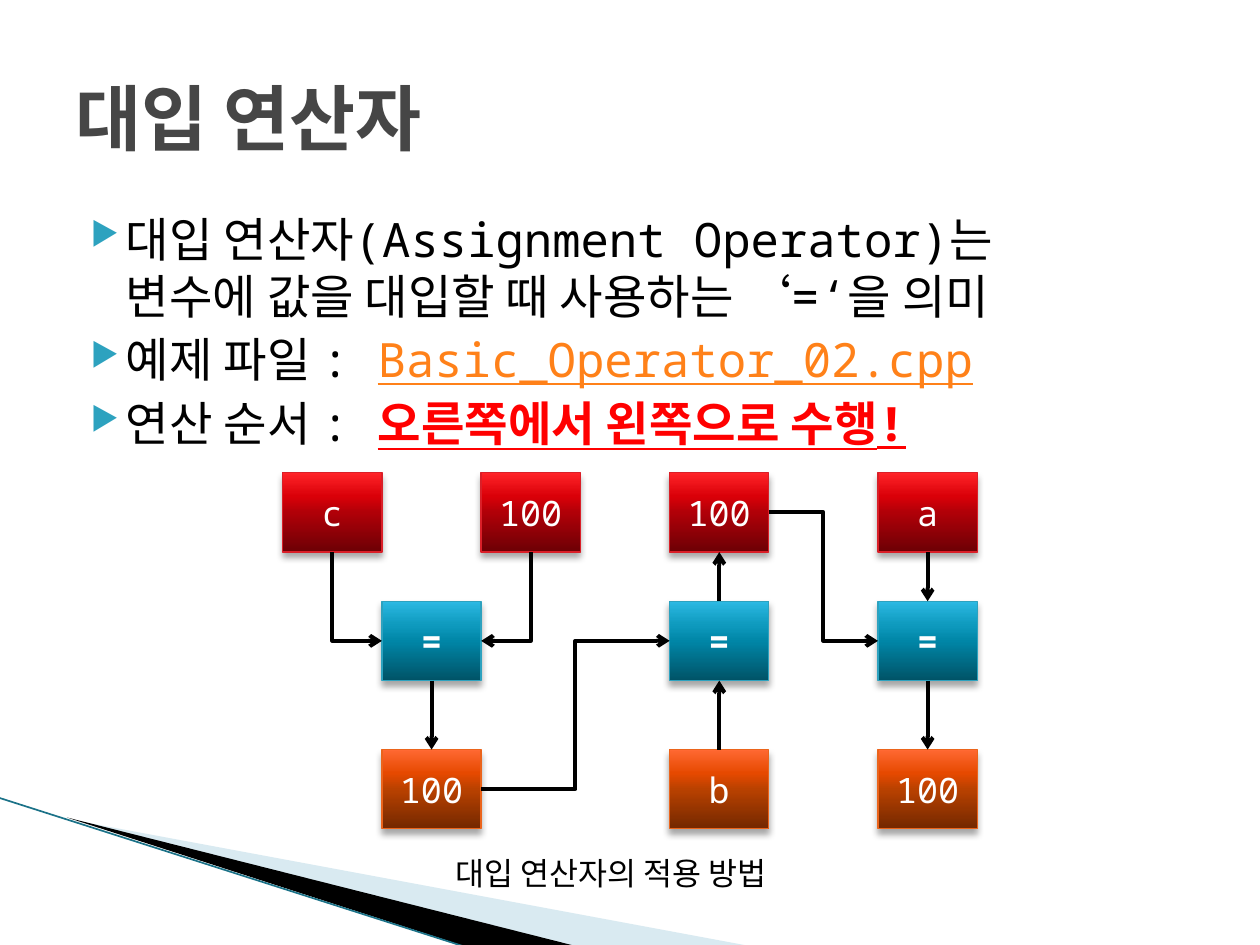
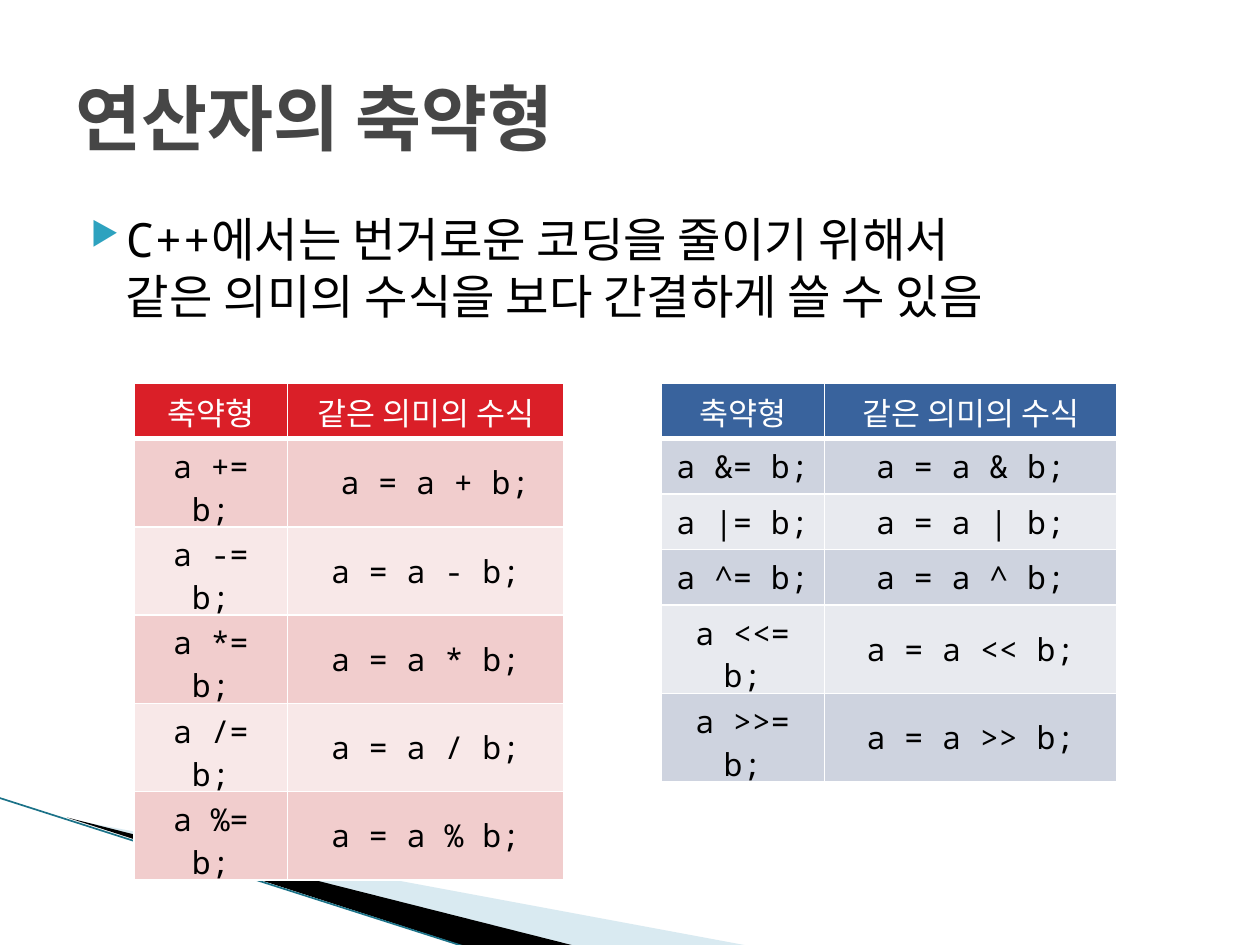
import pptx
import pptx.dml.color
import pptx.enum.shapes
import pptx.enum.text
import pptx.oxml.ns
import pptx.util
from lxml import etree

Cm, Pt = pptx.util.Cm, pptx.util.Pt
MIDDLE = pptx.enum.text.MSO_ANCHOR.MIDDLE
CENTER = pptx.enum.text.PP_ALIGN.CENTER
KINDS = pptx.enum.shapes.MSO_CONNECTOR

FONT = "Noto Sans Mono"
BLACK, WHITE, GRAY, TEAL = "000000", "FFFFFF", "464646", "2DA2BF"
LINK = {"color": "FF8119", "underline": True}
ALERT = {"color": "FF0000", "underline": True, "bold": True}

# Corner bands, in cm: points, colour, opacity in percent
BANDS = [
    ([(1.4, 16.52), (15.11, 19.07), (11.58, 19.07)], "A0CBDC", 40),
    ([(1.35, 16.48), (11.6, 19.07), (9.45, 19.1)], BLACK, 100),
]
EDGE = (-0.03, 16.08, 9.42, 19.1)

ASSIGN = {
    "title": "대입 연산자",
    "body": [
        [("대입 연산자(Assignment Operator)는\n변수에 값을 대입할 때 사용하는 ‘=‘을 의미", {})],
        [("예제 파일 : ", {}), ("Basic_Operator_02.cpp", LINK)],
        [("연산 순서 : ", {}), ("오른쪽에서 왼쪽으로 수행!", ALERT)],
    ],
}
SHORT = {
    "title": "연산자의 축약형",
    "body": [[("C++에서는 번거로운 코딩을 줄이기 위해서\n같은 의미의 수식을 보다 간결하게 쓸 수 있음", {})]],
}
CAPTION = "대입 연산자의 적용 방법"

# Each row of boxes: top in cm, line colour, gradient from bottom to top
STOPS = (0, 50, 70, 100)
ROWS = {
    "value": (9.53, "DA1F28", ("6D0005", "B00008", "DA0008", "FF2429")),
    "sign": (12.12, TEAL, ("005367", "0086A7", "0E9ABE", "2CB9E3")),
    "result": (15.11, "EB641B", ("732800", "B94100", "E64900", "FF6933")),
}
WIDE, HIGH = 2, 1.6
BOXES = {  # name: row, left in cm, text
    "c": ("value", 5.7, "c"),
    "first": ("value", 9.7, "100"),
    "sign1": ("sign", 7.7, "="),
    "sum1": ("result", 7.7, "100"),
    "b": ("result", 13.5, "b"),
    "sign2": ("sign", 13.5, "="),
    "sum2": ("value", 13.5, "100"),
    "a": ("value", 17.7, "a"),
    "sign3": ("sign", 17.7, "="),
    "sum3": ("result", 17.7, "100"),
}
TOP, LEFT, BOTTOM, RIGHT = range(4)
ARROWS = [
    ("c", BOTTOM, "sign1", LEFT),
    ("first", BOTTOM, "sign1", RIGHT),
    ("sign1", BOTTOM, "sum1", TOP),
    ("b", TOP, "sign2", BOTTOM),
    ("sum1", RIGHT, "sign2", LEFT),
    ("sign2", TOP, "sum2", BOTTOM),
    ("sum2", RIGHT, "sign3", LEFT),
    ("a", BOTTOM, "sign3", TOP),
    ("sign3", BOTTOM, "sum3", TOP),
]

HEAD = ("축약형", "같은 의미의 수식")
TABLES = [  # left and column widths in cm, head and band colours, rows
    (2.7, (3.1, 5.56), "DA1F28", ("F1CDCD", "F8E8E8"), [
        ("a += b;", " a = a + b;"), ("a -= b;", "a = a - b;"),
        ("a *= b;", "a = a * b;"), ("a /= b;", "a = a / b;"),
        ("a %= b;", "a = a % b;")]),
    (13.32, (3.3, 5.89), "39639D", ("CED3DF", "E8EAEF"), [
        ("a &= b;", "a = a & b;"), ("a |= b;", "a = a | b;"),
        ("a ^= b;", "a = a ^ b;"), ("a <<= b;", "a = a << b;"),
        ("a >>= b;", "a = a >> b;")]),
]
TABLE_TOP, ROW_HIGH = 7.72, 1.12


def rgb(code):
    return pptx.dml.color.RGBColor.from_string(code)


def add(parent, tag, **attrs):
    """Append a drawing element with the given attributes."""
    node = etree.SubElement(parent, pptx.oxml.ns.qn("a:" + tag))
    for key, value in attrs.items():
        node.set(key, str(value))
    return node


def style(font, size=None, color=None, bold=None, underline=None):
    if size:
        font.name, font.size = FONT, Pt(size)
    if color:
        font.color.rgb = rgb(color)
    font.bold, font.underline = bold, underline


def write(slide, place, text, size, color, bold=None, wrap=True):
    box = slide.shapes.add_textbox(*map(Cm, place))
    frame = box.text_frame
    frame.word_wrap = wrap
    frame.text = text
    style(frame.paragraphs[0].font, size, color, bold)
    return frame


def bullet(para):
    props = para._p.get_or_add_pPr()
    props.set("marL", str(Cm(1.02)))
    props.set("indent", str(Cm(-0.71)))
    add(add(props, "buClr"), "srgbClr", val=TEAL)
    add(props, "buSzPct", val=68000)
    add(props, "buChar", char="▶")
    para.space_before = Pt(4)


def list_body(slide, items):
    frame = write(slide, (1.27, 4.11, 22.86, 12.57), "", 27, BLACK)
    for i, item in enumerate(items):
        para = frame.add_paragraph() if i else frame.paragraphs[0]
        bullet(para)
        style(para.font, 27, BLACK)
        for text, look in item:
            for j, part in enumerate(text.split("\n")):
                if j:
                    para.add_line_break()
                run = para.add_run()
                run.text = part
                style(run.font, **look)


def draw_line(slide, kind, ends, color, width):
    line = slide.shapes.add_connector(kind, *map(Cm, ends))
    line.line.color.rgb = rgb(color)
    line.line.width = Pt(width)
    add(line.element.spPr, "effectLst")
    return line


def draw_base(deck, page):
    """Add a slide with the corner bands, the title and the bullets."""
    slide = deck.slides.add_slide(deck.slide_layouts[6])
    for points, color, alpha in BANDS:
        start, *rest = [(Cm(x), Cm(y)) for x, y in points]
        path = slide.shapes.build_freeform(*start)
        path.add_line_segments(rest)
        band = path.convert_to_shape()
        band.shadow.inherit = False
        band.fill.solid()
        band.fill.fore_color.rgb = rgb(color)
        band.line.fill.background()
        tint = next(band.element.spPr.iter(pptx.oxml.ns.qn("a:srgbClr")))
        add(tint, "alpha", val=alpha * 1000)
    draw_line(slide, KINDS.STRAIGHT, EDGE, "1B7288", 0.95)
    title = write(slide, (1.27, 0.76, 22.86, 3.18), page["title"], 41, GRAY, True)
    title.vertical_anchor = MIDDLE
    list_body(slide, page["body"])
    return slide


def draw_box(slide, row, left, text):
    top, edge, shades = ROWS[row]
    rect = pptx.enum.shapes.MSO_SHAPE.RECTANGLE
    box = slide.shapes.add_shape(rect, *map(Cm, (left, top, WIDE, HIGH)))
    box.fill.gradient()
    box.fill.gradient_angle = 90
    stops = next(box.element.spPr.iter(pptx.oxml.ns.qn("a:gsLst")))
    for old in list(stops):
        stops.remove(old)
    for pos, shade in zip(STOPS, shades):
        add(add(stops, "gs", pos=pos * 1000), "srgbClr", val=shade)
    box.line.color.rgb = rgb(edge)
    box.line.width = Pt(0.75)
    box.shadow.inherit = False
    glow = add(box.element.spPr.find(pptx.oxml.ns.qn("a:effectLst")), "outerShdw",
               blurRad=Pt(4), dist=Pt(3), dir=5400000, rotWithShape=0)
    add(add(glow, "srgbClr", val=BLACK), "alpha", val=35000)
    frame = box.text_frame
    frame.text = text
    frame.vertical_anchor = MIDDLE
    para = frame.paragraphs[0]
    para.alignment = CENTER
    style(para.font, 20, WHITE, row == "sign" or None)
    return box


def turn_down(line):
    """Make a bent line leave downwards and turn once."""
    right = line.end_x > line.begin_x
    left, top, wide, high = line.left, line.top, line.width, line.height
    line.left, line.top = left + (wide - high) // 2, top + (high - wide) // 2
    line.width, line.height = high, wide
    props = line.element.spPr
    props.find(pptx.oxml.ns.qn("a:prstGeom")).set("prst", "bentConnector2")
    frame = props.find(pptx.oxml.ns.qn("a:xfrm"))
    frame.set("rot", str((270 if right else 90) * 60000))
    frame.set("flipH", "1" if right else "0")


def draw_flow(slide):
    boxes = {name: draw_box(slide, *spec) for name, spec in BOXES.items()}
    for source, out, target, into in ARROWS:
        upright = {out, into} == {TOP, BOTTOM}
        kind = KINDS.STRAIGHT if upright else KINDS.ELBOW
        line = draw_line(slide, kind, (0, 0, 0, 0), BLACK, 2.25)
        line.begin_connect(boxes[source], out)
        line.end_connect(boxes[target], into)
        if out == BOTTOM and not upright:
            turn_down(line)
        add(line.line._get_or_add_ln(), "tailEnd", type="arrow")
    write(slide, (8.94, 17.09, 7.54, 1.02), CAPTION, 18, BLACK, wrap=False)


def fill_cell(cell, text, row, back, color):
    props = cell._tc.get_or_add_tcPr()
    thick = {"lnB": row == 0, "lnT": row == 1}
    for side in ("lnL", "lnR", "lnT", "lnB"):
        edge = add(props, side, w=Pt(3 if thick.get(side) else 1))
        add(add(edge, "solidFill"), "srgbClr", val=WHITE)
    cell.fill.solid()
    cell.fill.fore_color.rgb = rgb(back)
    cell.vertical_anchor = MIDDLE
    cell.text = text
    para = cell.text_frame.paragraphs[0]
    para.alignment = CENTER
    style(para.font, 18, color, False)


def draw_table(slide, left, widths, top_color, bands, rows):
    lines = [HEAD, *rows]
    place = (left, TABLE_TOP, sum(widths), ROW_HIGH * len(lines))
    table = slide.shapes.add_table(len(lines), len(HEAD), *map(Cm, place)).table
    for column, width in zip(table.columns, widths):
        column.width = Cm(width)
    for i, line in enumerate(lines):
        back, color = (bands[(i - 1) % 2], BLACK) if i else (top_color, WHITE)
        for j, text in enumerate(line):
            fill_cell(table.cell(i, j), text, i, back, color)


def main():
    deck = pptx.Presentation()
    deck.slide_width, deck.slide_height = Cm(25.4), Cm(19.05)
    draw_flow(draw_base(deck, ASSIGN))
    slide = draw_base(deck, SHORT)
    for table in TABLES:
        draw_table(slide, *table)
    deck.save("out.pptx")


if __name__ == "__main__":
    main()
